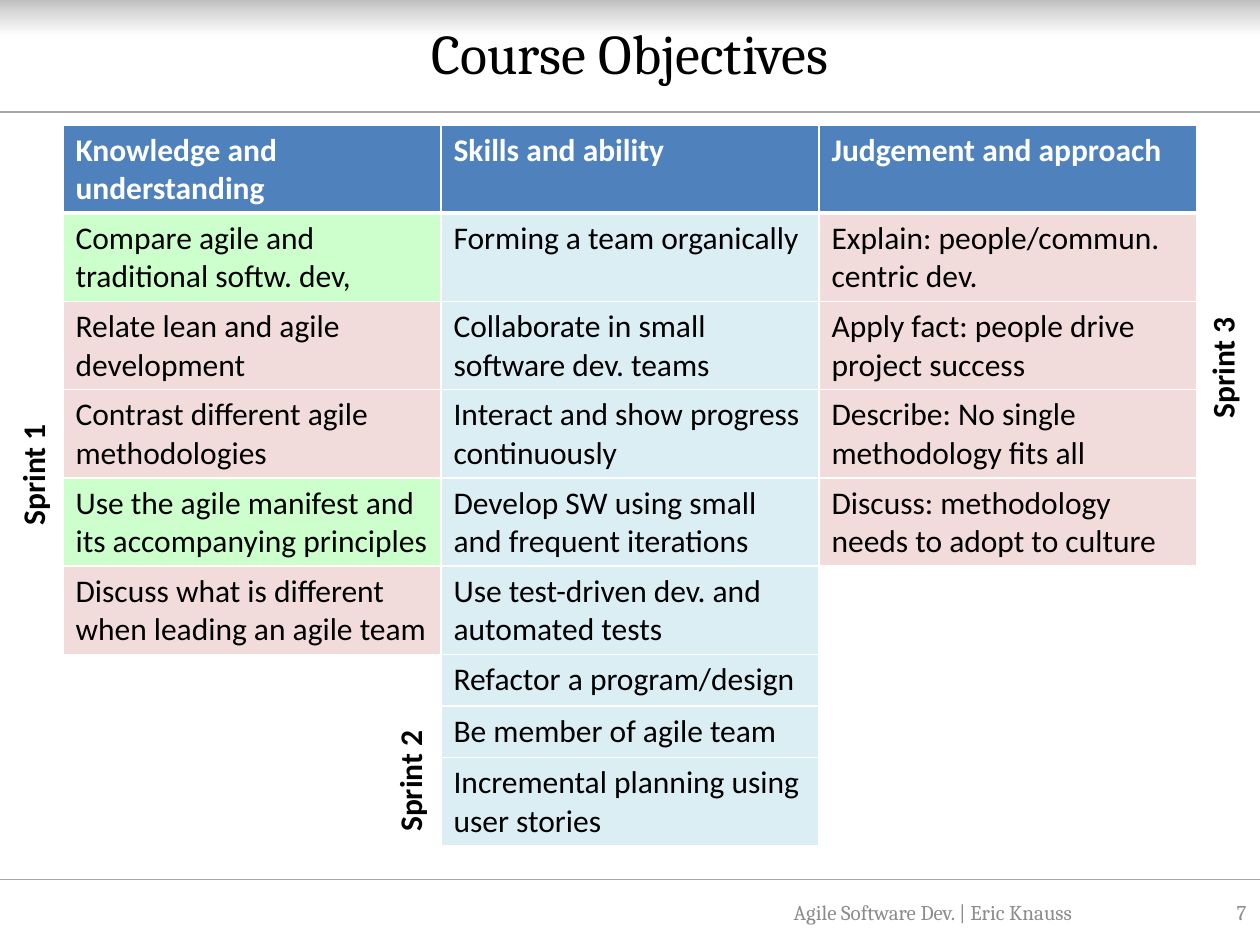
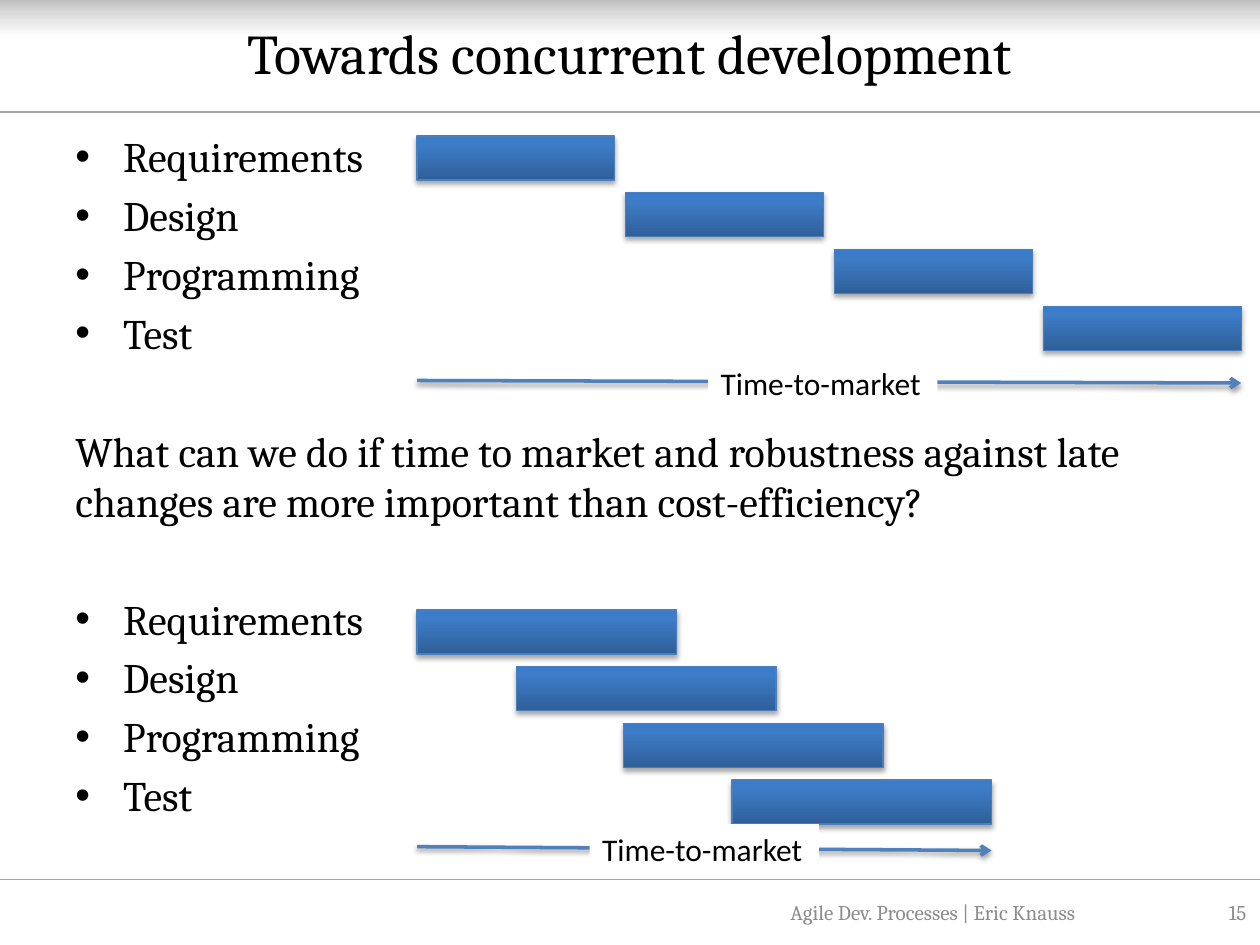
"""Build two lecture slides: a course objectives table and a comparison of schedules."""
from dataclasses import dataclass

from pptx import Presentation
from pptx.dml.color import RGBColor
from pptx.enum.shapes import MSO_CONNECTOR as Connector, MSO_SHAPE as Preset
from pptx.enum.text import MSO_ANCHOR as Anchor, PP_ALIGN as Align
from pptx.oxml import parse_xml
from pptx.oxml.ns import nsdecls, qn
from pptx.util import Inches, Pt


@dataclass(frozen=True)
class Theme:
    serif: str = "Cambria"
    sans: str = "Calibri"
    title_size: int = 32
    body_size: int = 24
    label_size: int = 18
    footer_size: int = 12
    ink: str = "000000"
    paper: str = "FFFFFF"
    muted: str = "8C8C8C"
    rule: str = "A6A6A6"
    blue: str = "4F81BD"
    bar_edge: str = "4B7EBC"
    green: str = "CCFFCC"
    rose: str = "F2DCDB"
    aqua: str = "DBEEF4"
    band_stops: tuple = ((0, "BFBFBF"), (34, "D9D9D9"), (100, "FFFFFF"))
    bar_stops: tuple = ((0, "2F5F99"), (80, "3D7CC7"), (100, "3A7CCB"))


def rgb(color):
    return RGBColor.from_string(color)


def xml(tag, body, attributes=""):
    return parse_xml(f"<a:{tag} {nsdecls('a')} {attributes}>{body}</a:{tag}>")


def solid(color):
    return f'<a:solidFill><a:srgbClr val="{color}"/></a:solidFill>'


def shadow(alpha, distance):
    return xml("outerShdw", f'<a:srgbClr val="000000"><a:alpha val="{alpha * 1000}"/></a:srgbClr>',
               f'blurRad="{Pt(3.1)}" dist="{Pt(distance)}" dir="5400000" rotWithShape="0"')


def write(para, text, *, font, size, color, bold=False, align=Align.LEFT, before=0, bullet=False):
    para.alignment = align
    para.space_before = Pt(before)
    if bullet:
        settings = para._p.get_or_add_pPr()
        settings.set("marL", str(Inches(0.38)))
        settings.set("indent", str(-Inches(0.38)))
        settings.append(xml("buFont", "", 'typeface="Arial"'))
        settings.append(xml("buChar", "", 'char="•"'))
    span = para.add_run()
    span.text = text
    span.font.name = font
    span.font.size = Pt(size)
    span.font.bold = bold
    span.font.color.rgb = rgb(color)


class Slides:
    def __init__(self, theme):
        self.theme = theme
        self.deck = Presentation()
        self.deck.slide_width, self.deck.slide_height = Inches(10), Inches(7.5)
        self.page = None

    def start(self, title, footer, number):
        theme = self.theme
        self.page = self.deck.slides.add_slide(self.deck.slide_layouts[6])
        self.gradient_box(0, 0, 10, 0.29, theme.band_stops, 90)
        for y in (6.98, 0.89):
            self.line(0, y, 10, y, theme.rule, 0.75)
        self.text(title, 0.5, 0.03, 9, 0.77, anchor=Anchor.MIDDLE, font=theme.serif,
                  size=theme.title_size, color=theme.ink, align=Align.CENTER)
        small = dict(anchor=Anchor.MIDDLE, font=theme.serif, size=theme.footer_size,
                     color=theme.muted)
        self.text(footer, 5.82, 7.04, 3.17, 0.4, align=Align.CENTER, **small)
        self.text(number, 9.07, 7.04, 0.92, 0.4, align=Align.RIGHT, **small)

    def text_box(self, left, top, width, height, wrap=True, anchor=Anchor.TOP):
        box = self.page.shapes.add_textbox(*map(Inches, (left, top, width, height)))
        box.text_frame.word_wrap = wrap
        box.text_frame.vertical_anchor = anchor
        return box

    def text(self, text, left, top, width, height, wrap=True, anchor=Anchor.TOP, **style):
        box = self.text_box(left, top, width, height, wrap, anchor)
        write(box.text_frame.paragraphs[0], text, **style)
        return box

    def label(self, text, left, top, width, bold=False):
        return self.text(text, left, top, width, 0.4, wrap=False, font=self.theme.sans,
                         size=self.theme.label_size, color=self.theme.ink, bold=bold)

    def paragraphs(self, items, left, top, width, height):
        frame = self.text_box(left, top, width, height).text_frame
        for index, (text, style) in enumerate(items):
            para = frame.add_paragraph() if index else frame.paragraphs[0]
            write(para, text, font=self.theme.serif, size=self.theme.body_size,
                  color=self.theme.ink, **style)

    def gradient_box(self, left, top, width, height, stops, angle):
        box = self.page.shapes.add_shape(Preset.RECTANGLE, *map(Inches, (left, top, width, height)))
        marks = "".join(f'<a:gs pos="{place * 1000}"><a:srgbClr val="{color}"/></a:gs>'
                        for place, color in stops)
        fill = xml("gradFill", f'<a:gsLst>{marks}</a:gsLst><a:lin ang="{angle * 60000}" scaled="0"/>',
                   'rotWithShape="1"')
        box._element.spPr.find(qn("a:prstGeom")).addnext(fill)
        box.line.fill.background()
        box.shadow.inherit = False
        return box

    def bar(self, left, top, width):
        box = self.gradient_box(left, top, width, 0.35, self.theme.bar_stops, 270)
        box.line.color.rgb = rgb(self.theme.bar_edge)
        box.line.width = Pt(0.75)
        box._element.spPr.find(qn("a:effectLst")).append(shadow(35, 1.8))

    def line(self, x1, y1, x2, y2, color, width):
        line = self.page.shapes.add_connector(Connector.STRAIGHT, *map(Inches, (x1, y1, x2, y2)))
        line.line.color.rgb = rgb(color)
        line.line.width = Pt(width)
        line._element.spPr.append(xml("effectLst", ""))
        return line

    def arrow(self, x1, y1, x2, y2):
        line = self.line(x1, y1, x2, y2, self.theme.blue, 2)
        line.line._ln.append(xml("tailEnd", "", 'type="arrow"'))
        line._element.spPr.find(qn("a:effectLst")).append(shadow(38, 1.6))

    def side_label(self, text, left, top):
        self.label(text, left, top, 1.02, bold=True).rotation = 270

    def cell(self, cell, text, fill, header):
        theme = self.theme
        settings = cell._tc.get_or_add_tcPr()
        for side in "LRTB":
            width = Pt(3 if header and side == "B" else 1)
            settings.append(xml(f"ln{side}", solid(theme.paper), f'w="{width}"'))
        cell.fill.solid()
        cell.fill.fore_color.rgb = rgb(fill)
        if text:
            write(cell.text_frame.paragraphs[0], text, font=theme.sans, size=theme.label_size,
                  color=theme.paper if header else theme.ink, bold=header)

    def table(self, columns, left, top, width, row_height):
        rows = max(len(entries) for entries in columns)
        table = self.page.shapes.add_table(rows, len(columns), Inches(left), Inches(top),
                                           Inches(width), Inches(row_height * rows)).table
        table.horz_banding = False
        for column, entries in enumerate(columns):
            for row in range(rows):
                text, fill = entries[row] if row < len(entries) else ("", self.theme.paper)
                self.cell(table.cell(row, column), text, fill, header=row == 0)

    def schedule(self, lefts, top, width, arrow_y, rise, label_left):
        for step, left in enumerate(lefts):
            self.bar(left, top + 0.45 * step, width)
        self.arrow(lefts[0], arrow_y, lefts[-1] + width, arrow_y + rise)
        box = self.label("Time-to-market", label_left, arrow_y - 0.18, 1.82)
        box.fill.solid()
        box.fill.fore_color.rgb = rgb(self.theme.paper)


def course_objectives(slides):
    theme = slides.theme
    slides.start("Course Objectives", "Agile Software Dev. | Eric Knauss", "7")
    knowledge = [
        ("Knowledge and understanding", theme.blue),
        ("Compare agile and traditional softw. dev,", theme.green),
        ("Relate lean and agile development", theme.rose),
        ("Contrast different agile methodologies", theme.rose),
        ("Use the agile manifest and its accompanying principles", theme.green),
        ("Discuss what is different when leading an agile team", theme.rose),
    ]
    skills = [("Skills and ability", theme.blue)] + [(text, theme.aqua) for text in (
        "Forming a team organically",
        "Collaborate in small software dev. teams",
        "Interact and show progress continuously",
        "Develop SW using small and frequent iterations",
        "Use test-driven dev. and automated tests",
        "Refactor a program/design",
        "Be member of agile team",
        "Incremental planning using user stories",
    )]
    judgement = [("Judgement and approach", theme.blue)] + [(text, theme.rose) for text in (
        "Explain: people/commun. centric dev.",
        "Apply fact: people drive project success",
        "Describe: No single methodology fits all",
        "Discuss: methodology needs to adopt to culture",
    )]
    slides.table([knowledge, skills, judgement], 0.5, 0.99, 9, 0.41)
    slides.side_label("Sprint 1", -0.25, 3.56)
    slides.side_label("Sprint 2", 2.74, 5.99)
    slides.side_label("Sprint 3", 9.19, 2.71)


def concurrent_development(slides):
    slides.start("Towards concurrent development", "Agile Dev. Processes | Eric Knauss", "15")
    near, far = 4.8, 38.5
    first, *others = "Requirements", "Design", "Programming", "Test"
    question = ("What can we do if time to market and robustness against late changes "
                "are more important than cost-efficiency?")

    def phases(before):
        return [(first, dict(bullet=True, before=before))] + [
            (phase, dict(bullet=True, before=near)) for phase in others]

    slides.paragraphs(phases(near) + [(question, dict(before=far))] + phases(far),
                      0.5, 0.99, 9, 5.83)
    sequential = [3.31 + 1.657 * step for step in range(4)]
    slides.schedule(sequential, 1.08, 1.57, 3.02, 0.02, 5.62)
    slides.schedule([3.31, 4.1, 4.95, 5.81], 4.84, 2.06, 6.72, 0.03, 4.68)


def main():
    slides = Slides(Theme())
    course_objectives(slides)
    concurrent_development(slides)
    slides.deck.save("out.pptx")


if __name__ == "__main__":
    main()
